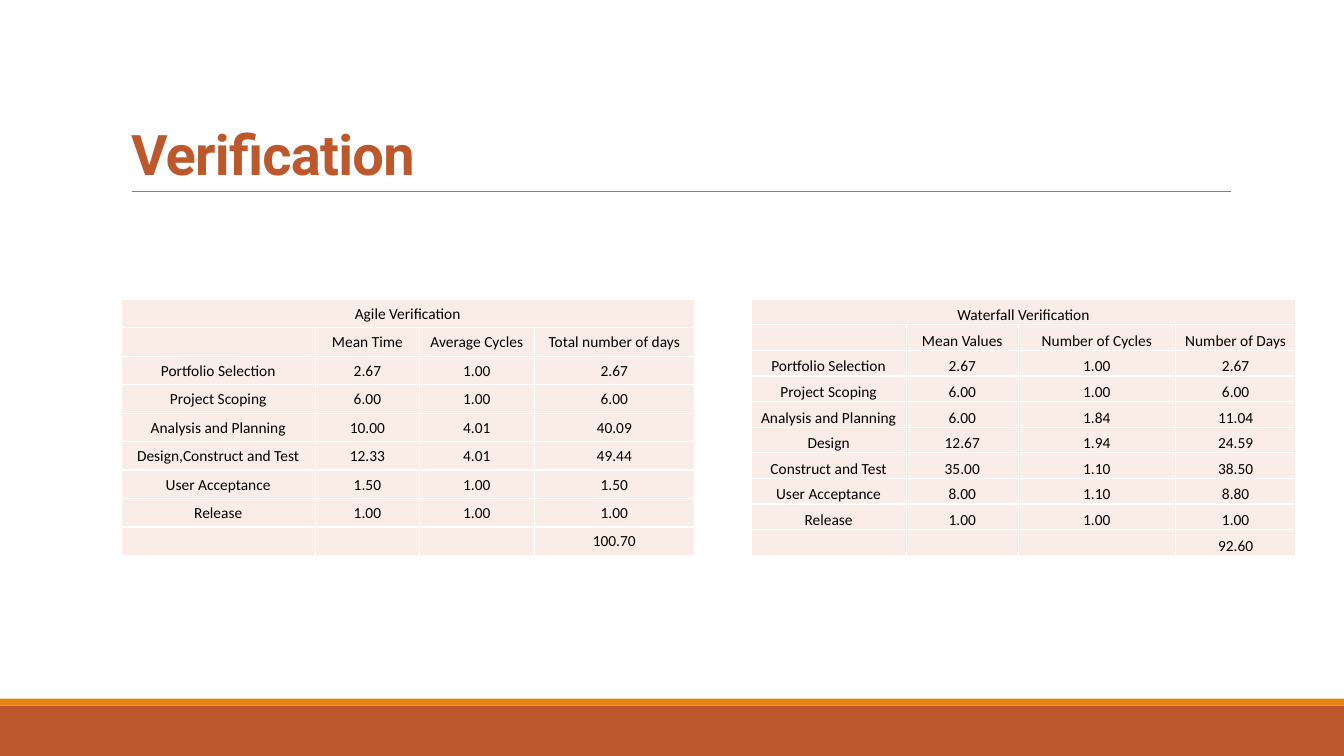
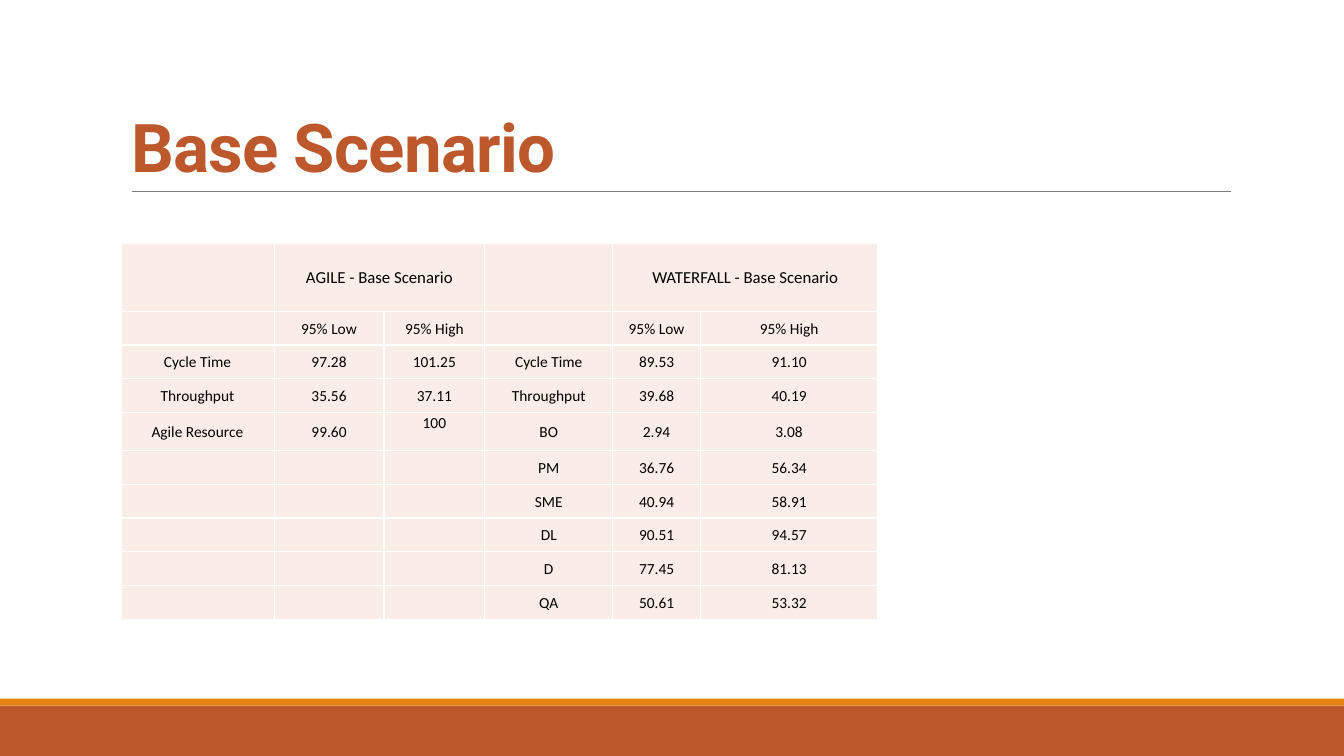
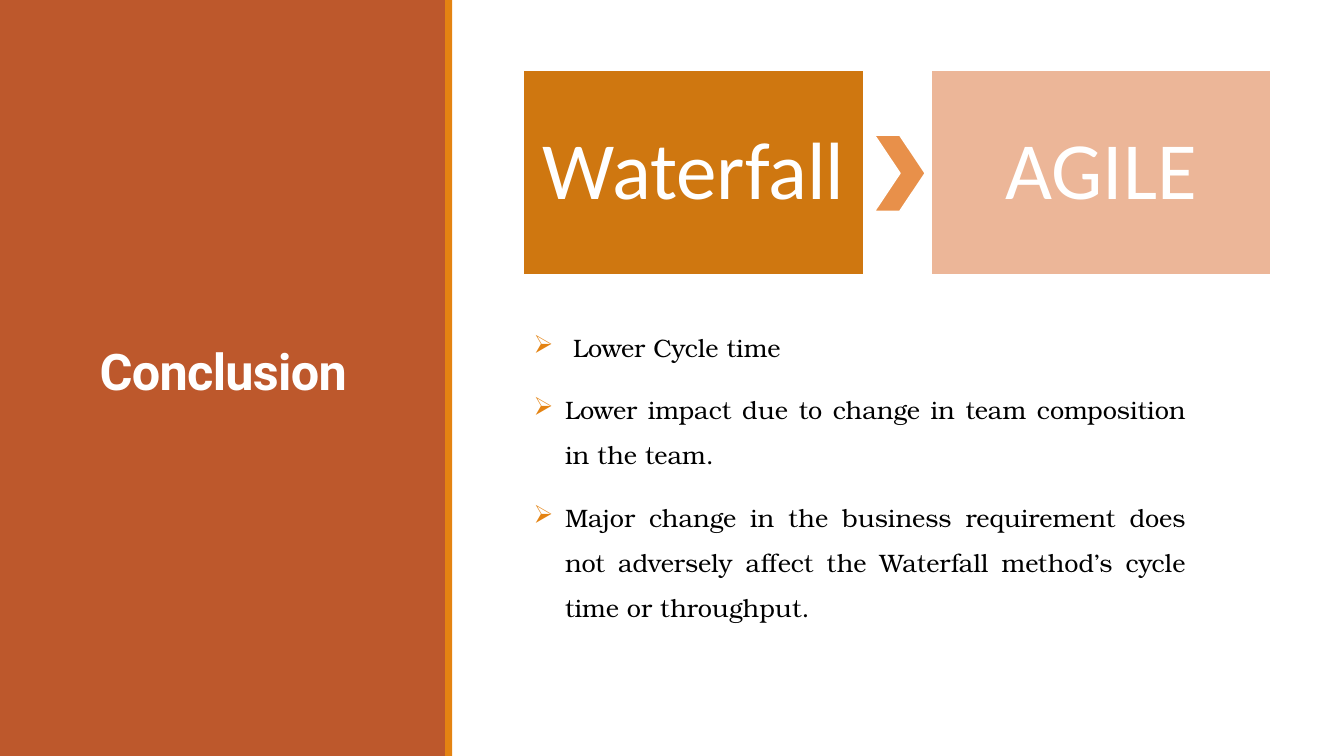
"""Build three slides that compare agile and waterfall simulation results."""
from dataclasses import dataclass

import lxml.etree
import pptx
import pptx.dml.color
import pptx.enum.shapes
import pptx.enum.text
import pptx.oxml.ns
import pptx.presentation
import pptx.shapes.autoshape
import pptx.slide
import pptx.table
import pptx.text.text
import pptx.util

Pt = pptx.util.Pt
qn = pptx.oxml.ns.qn
ALIGN = pptx.enum.text.PP_ALIGN
ANCHOR = pptx.enum.text.MSO_ANCHOR
SHAPE = pptx.enum.shapes.MSO_SHAPE

RUST, ORANGE, GREY = "BD582C", "E48312", "808080"
WHITE, BLACK, CELL = "FFFFFF", "000000", "FAEDE7"
BODY, HEADING, SERIF = "Calibri", "Roboto", "TeX Gyre Bonum"
W, H = 960, 540


@dataclass(frozen=True)
class Box:
    """A rectangle in points."""
    x: float
    y: float
    w: float
    h: float


@dataclass(frozen=True)
class Block:
    """A filled shape with an optional outline and label."""
    box: Box
    fill: str
    kind: int = SHAPE.RECTANGLE
    line: str = ""
    label: str = ""


@dataclass(frozen=True)
class Grid:
    """A table: position, sizes, rows of text and merged header spans."""
    x: float
    y: float
    cols: tuple[float, ...]
    heights: tuple[float, ...]
    rows: tuple[tuple[str, ...], ...]
    spans: tuple[tuple[int, int], ...]
    anchor: int = ANCHOR.MIDDLE
    head_size: float = 11
    top_cell: tuple[int, int] | None = None


FOOTER = (Block(Box(0, 504, W, 36), RUST), Block(Box(0, 499, W, 5), ORANGE))
SIDEBAR = (Block(Box(0, 0, 319, H), RUST), Block(Box(318, 0, 5, H), ORANGE))
METHODS = (
    Block(Box(374, 50.4, 243, 146), "CF7710", line=WHITE, label="Waterfall"),
    Block(Box(624.5, 96.5, 36.5, 54.5), "E8904A", SHAPE.CHEVRON, WHITE),
    Block(Box(665, 50.4, 243, 146), "ECB698", line=WHITE, label="AGILE"),
)
TITLE_BOX = Box(86.4, 22.3, 792, 114.5)
SIDE_TITLE_BOX = Box(5, 41, 309, 454)

AGILE = Grid(
    86.4, 213.8, (139, 74.2, 82, 114.5), (20.35,) * 9,
    (
        ("Agile Verification", "", "", ""),
        ("", "Mean Time", "Average Cycles", "Total number of days"),
        ("Portfolio Selection", "2.67", "1.00", "2.67"),
        ("Project Scoping", "6.00", "1.00", "6.00"),
        ("Analysis and Planning", "10.00", "4.01", "40.09"),
        ("Design,Construct and Test", "12.33", "4.01", "49.44"),
        ("User Acceptance", "1.50", "1.00", "1.50"),
        ("Release", "1.00", "1.00", "1.00"),
        ("", "", "", "100.70"),
    ),
    ((0, 3),),
)
WATERFALL = Grid(
    536.4, 213.8, (111, 80, 112.3, 86), (18.3,) * 10,
    (
        ("Waterfall Verification", "", "", ""),
        ("", "Mean Values", "Number of Cycles", "Number of Days"),
        ("Portfolio Selection", "2.67", "1.00", "2.67"),
        ("Project Scoping", "6.00", "1.00", "6.00"),
        ("Analysis and Planning", "6.00", "1.84", "11.04"),
        ("Design", "12.67", "1.94", "24.59"),
        ("Construct and Test", "35.00", "1.10", "38.50"),
        ("User Acceptance", "8.00", "1.10", "8.80"),
        ("Release", "1.00", "1.00", "1.00"),
        ("", "", "", "92.60"),
    ),
    ((0, 3),),
    anchor=ANCHOR.BOTTOM,
)
SCENARIO = Grid(
    86.4, 173.8, (109.4, 78.5, 72, 91.4, 62.7, 126.7),
    (48.6,) + (24.1,) * 3 + (27.2,) + (24.1,) * 5,
    (
        ("", "AGILE - Base Scenario", "", "", "WATERFALL - Base Scenario", ""),
        ("", "95% Low", "95% High", "", "95% Low", "95% High"),
        ("Cycle Time", "97.28", "101.25", "Cycle Time", "89.53", "91.10"),
        ("Throughput", "35.56", "37.11", "Throughput", "39.68", "40.19"),
        ("Agile Resource", "99.60", "100", "BO", "2.94", "3.08"),
        ("", "", "", "PM", "36.76", "56.34"),
        ("", "", "", "SME", "40.94", "58.91"),
        ("", "", "", "DL", "90.51", "94.57"),
        ("", "", "", "D", "77.45", "81.13"),
        ("", "", "", "QA", "50.61", "53.32"),
    ),
    ((1, 2), (4, 5)),
    head_size=12,
    top_cell=(4, 2),
)
FINDINGS = (
    " Lower Cycle time",
    "Lower impact due to change in team composition in the team.",
    "Major change in the business requirement does not adversely affect "
    "the Waterfall method’s cycle time or throughput.",
)


def rgb(color: str) -> pptx.dml.color.RGBColor:
    """Turn a hex string into a colour."""
    return pptx.dml.color.RGBColor.from_string(color)


def pts(box: Box) -> tuple[int, int, int, int]:
    """Give the sides of a box as lengths."""
    return Pt(box.x), Pt(box.y), Pt(box.w), Pt(box.h)


def style(p: pptx.text.text._Paragraph, font: str, size: float, color: str,
          align: int, bold: bool = False) -> None:
    """Align a paragraph and format its runs."""
    p.alignment = align
    for r in p.runs:
        r.font.name, r.font.size, r.font.bold = font, Pt(size), bold
        r.font.color.rgb = rgb(color)


def add_block(s: pptx.slide.Slide, block: Block) -> None:
    """Draw a filled shape with its label."""
    sp = s.shapes.add_shape(block.kind, *pts(block.box))
    sp.shadow.inherit = False
    sp.fill.solid()
    sp.fill.fore_color.rgb = rgb(block.fill)
    if block.line:
        sp.line.color.rgb = rgb(block.line)
        sp.line.width = Pt(1.25)
    else:
        sp.line.fill.background()
    if block.label:
        tf = sp.text_frame
        tf.text = block.label
        tf.word_wrap = True
        tf.vertical_anchor = ANCHOR.MIDDLE
        tf.margin_left = tf.margin_right = Pt(12)
        tf.margin_top = tf.margin_bottom = Pt(12)
        p = tf.paragraphs[0]
        p.line_spacing = 0.9
        style(p, BODY, 58, WHITE, ALIGN.CENTER)


def add_rule(s: pptx.slide.Slide) -> None:
    """Draw the thin line under the title."""
    line = s.shapes.add_connector(pptx.enum.shapes.MSO_CONNECTOR.STRAIGHT,
                                  Pt(94.3), Pt(136.8), Pt(879), Pt(136.8))
    line.line.color.rgb = rgb(GREY)
    line.line.width = Pt(0.5)
    lxml.etree.SubElement(line.element.spPr, qn("a:effectLst"))


def set_title(s: pptx.slide.Slide, text: str, box: Box, size: float, color: str,
              align: int, anchor: int) -> None:
    """Place the title placeholder in front and format it."""
    sp = s.shapes.title
    sp.left, sp.top, sp.width, sp.height = pts(box)
    sp.element.getparent().append(sp.element)
    tf = sp.text_frame
    tf.text = text
    tf.word_wrap = True
    tf.auto_size = pptx.enum.text.MSO_AUTO_SIZE.NONE
    tf.vertical_anchor = anchor
    p = tf.paragraphs[0]
    p.line_spacing = 0.85
    style(p, HEADING, size, color, align, bold=True)
    p.runs[0].font._element.set("spc", "-50")


def add_slide(prs: pptx.presentation.Presentation) -> pptx.slide.Slide:
    """Add a title-only slide."""
    return prs.slides.add_slide(prs.slide_layouts[5])


def format_cell(cell: pptx.table._Cell, text: str, size: float, anchor: int) -> None:
    """Fill, border and write one table cell."""
    cell.text = text
    cell.vertical_anchor = anchor
    cell.margin_left = cell.margin_right = cell.margin_top = Pt(0.75)
    cell.margin_bottom = 0
    cell.fill.solid()
    cell.fill.fore_color.rgb = rgb(CELL)
    p = cell.text_frame.paragraphs[0]
    style(p, BODY, size, BLACK, ALIGN.CENTER)
    if not text:
        lxml.etree.SubElement(p._p, qn("a:endParaRPr"), sz=str(int(size * 100)))
    tc_pr = cell._tc.get_or_add_tcPr()
    for i, side in enumerate(("a:lnL", "a:lnR", "a:lnT", "a:lnB")):
        ln = lxml.etree.Element(qn(side), w=str(Pt(1)))
        fill = lxml.etree.SubElement(ln, qn("a:solidFill"))
        lxml.etree.SubElement(fill, qn("a:srgbClr"), val=WHITE)
        tc_pr.insert(i, ln)


def add_grid(s: pptx.slide.Slide, grid: Grid) -> None:
    """Draw a table."""
    box = Box(grid.x, grid.y, sum(grid.cols), sum(grid.heights))
    table = s.shapes.add_table(len(grid.rows), len(grid.cols), *pts(box)).table
    table.first_row = table.horz_banding = False
    for col, width in zip(table.columns, grid.cols):
        col.width = Pt(width)
    for i, (height, texts) in enumerate(zip(grid.heights, grid.rows)):
        table.rows[i].height = Pt(height)
        for j, text in enumerate(texts):
            anchor = ANCHOR.TOP if (i, j) == grid.top_cell else grid.anchor
            format_cell(table.cell(i, j), text, 11 if i else grid.head_size, anchor)
    for first, last in grid.spans:
        table.cell(0, first).merge(table.cell(0, last))


def add_bullets(s: pptx.slide.Slide, box: Box, items: tuple[str, ...]) -> None:
    """Write a justified list with arrow bullets."""
    tf = s.shapes.add_textbox(*pts(box)).text_frame
    tf.word_wrap = True
    tf.auto_size = pptx.enum.text.MSO_AUTO_SIZE.SHAPE_TO_FIT_TEXT
    for i, item in enumerate(items):
        p = tf.add_paragraph() if i else tf.paragraphs[0]
        p.text = item
        p.line_spacing = 1.5
        p.space_before = Pt(12)
        style(p, SERIF, 18, BLACK, ALIGN.JUSTIFY)
        p_pr = p._p.get_or_add_pPr()
        p_pr.set("marL", str(Pt(22.5)))
        p_pr.set("indent", str(-Pt(22.5)))
        color = lxml.etree.SubElement(p_pr, qn("a:buClr"))
        lxml.etree.SubElement(color, qn("a:srgbClr"), val=ORANGE)
        lxml.etree.SubElement(p_pr, qn("a:buChar"), char="➢")


def table_slide(prs: pptx.presentation.Presentation, title: str, size: float,
                grids: tuple[Grid, ...]) -> None:
    """Add a slide with footer bands, a ruled title and tables."""
    s = add_slide(prs)
    for band in FOOTER:
        add_block(s, band)
    add_rule(s)
    set_title(s, title, TITLE_BOX, size, RUST, ALIGN.LEFT, ANCHOR.BOTTOM)
    for grid in grids:
        add_grid(s, grid)


def conclusion_slide(prs: pptx.presentation.Presentation) -> None:
    """Add the closing slide with a sidebar title."""
    s = add_slide(prs)
    for block in SIDEBAR + METHODS:
        add_block(s, block)
    set_title(s, "Conclusion", SIDE_TITLE_BOX, 36, WHITE, ALIGN.CENTER, ANCHOR.MIDDLE)
    add_bullets(s, Box(374, 223, 480, 262), FINDINGS)


def main() -> None:
    """Build and save the presentation."""
    prs = pptx.Presentation()
    prs.slide_width, prs.slide_height = Pt(W), Pt(H)
    table_slide(prs, "Verification", 40, (AGILE, WATERFALL))
    table_slide(prs, "Base Scenario", 48, (SCENARIO,))
    conclusion_slide(prs)
    prs.save("out.pptx")


if __name__ == "__main__":
    main()
